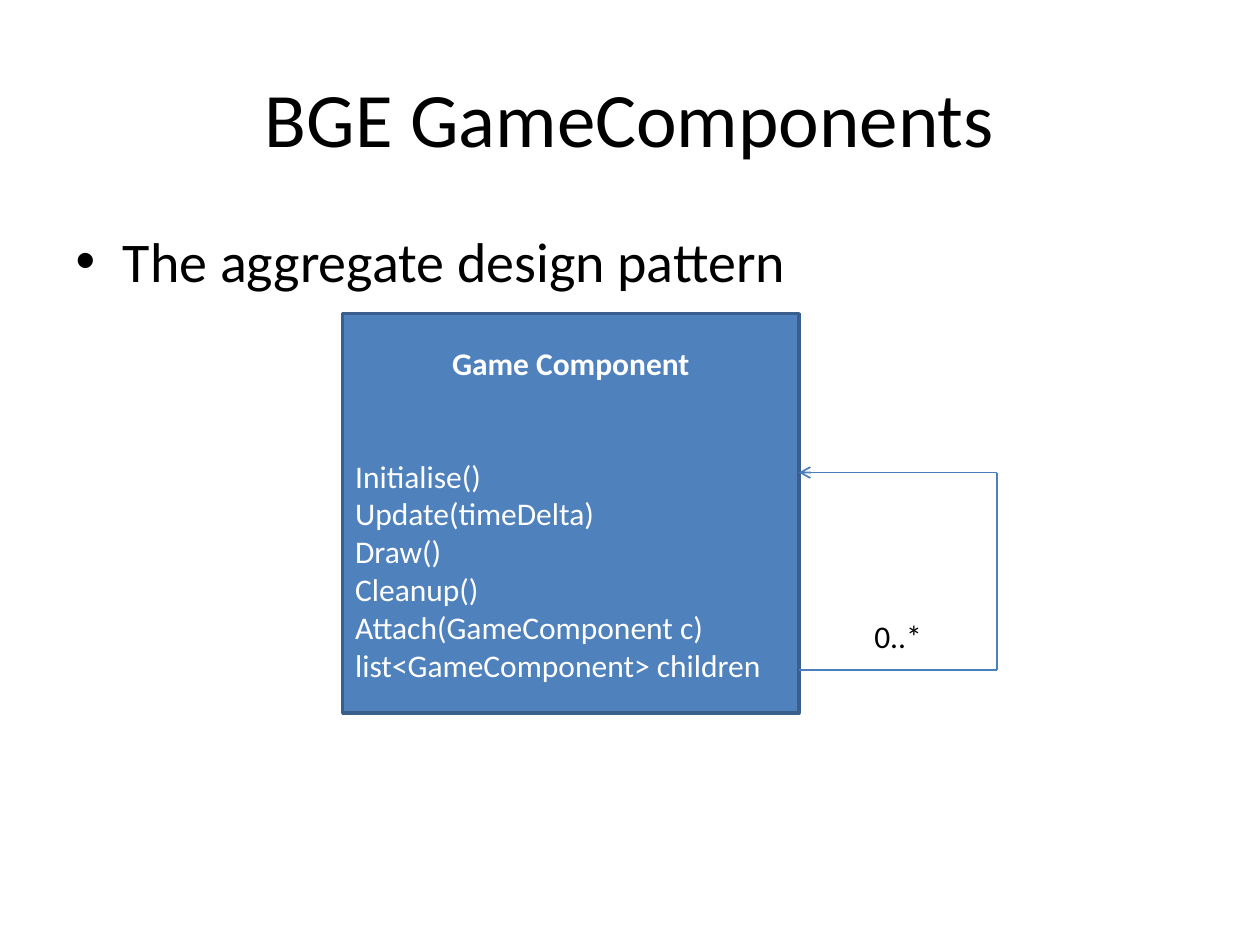
from itertools import pairwise
from lxml.etree import SubElement
from pptx import Presentation
from pptx.dml.color import RGBColor
from pptx.enum.shapes import MSO_CONNECTOR, MSO_SHAPE
from pptx.enum.text import MSO_ANCHOR, MSO_AUTO_SIZE, PP_ALIGN
from pptx.oxml.ns import qn
from pptx.util import Inches, Pt

TITLE = "BGE GameComponents"
BULLET = "The aggregate design pattern"
NAME = "Game Component"
MEMBERS = [
    "Initialise()",
    "Update(timeDelta)",
    "Draw()",
    "Cleanup()",
    "Attach(GameComponent c)",
    "list<GameComponent> children",
]
COUNT = "0..*"

COLORS = {"text": "000000", "fill": "4F81BD", "edge": "3A5F8C",
          "link": "4B7EBC", "label": "FFFFFF"}
FONT = "Calibri"

LEFT, TOP, WIDTH, HEIGHT = 2.72, 2.49, 3.62, 3.17
RIGHT = LEFT + WIDTH
REACH = 1.57  # the loop is a square of this side
LOW = 5.32
LOOP = [(RIGHT, LOW), (RIGHT + REACH, LOW),
        (RIGHT + REACH, LOW - REACH), (RIGHT, LOW - REACH)]


def color(key):
    return RGBColor.from_string(COLORS[key])


def style(par, size, key, bold=False):
    for run in par.runs:
        font = run.font
        font.name, font.size, font.bold = FONT, Pt(size), bold
        font.color.rgb = color(key)


def place(shape, left, top, width, height):
    shape.left, shape.top = Inches(left), Inches(top)
    shape.width, shape.height = Inches(width), Inches(height)


def add_class(slide):
    box = slide.shapes.add_shape(
        MSO_SHAPE.RECTANGLE, *map(Inches, (LEFT, TOP, WIDTH, HEIGHT)))
    box.shadow.inherit = False
    box.fill.solid()
    box.fill.fore_color.rgb = color("fill")
    box.line.color.rgb = color("edge")
    box.line.width = Pt(2)
    frame = box.text_frame
    frame.word_wrap = True
    frame.vertical_anchor = MSO_ANCHOR.MIDDLE
    frame.text = "\n".join([NAME, *MEMBERS])
    for par in frame.paragraphs:
        par.alignment = PP_ALIGN.LEFT
        style(par, 18, "label")
    head = frame.paragraphs[0]
    head.alignment = PP_ALIGN.CENTER
    head.space_after = Pt(43)
    style(head, 18, "label", bold=True)


def add_loop(slide):
    for start, end in pairwise(LOOP):
        link = slide.shapes.add_connector(
            MSO_CONNECTOR.STRAIGHT, *map(Inches, start + end))
        link.line.color.rgb = color("link")
        link.line.width = Pt(1)
        props = link._element.spPr
        SubElement(props, qn("a:effectLst"))
    # the last segment points back at the class
    SubElement(props.find(qn("a:ln")), qn("a:tailEnd"), type="arrow")


def add_count(slide):
    box = slide.shapes.add_textbox(*map(Inches, (6.84, 4.85, 0.58, 0.4)))
    frame = box.text_frame
    frame.word_wrap = False
    frame.auto_size = MSO_AUTO_SIZE.SHAPE_TO_FIT_TEXT
    frame.text = COUNT
    style(frame.paragraphs[0], 18, "text")


def main():
    deck = Presentation()
    deck.slide_width, deck.slide_height = Inches(10), Inches(7.5)
    slide = deck.slides.add_slide(deck.slide_layouts[1])
    title, body = slide.placeholders
    place(title, 0.5, 0.3, 9, 1.25)
    place(body, 0.5, 1.75, 9, 4.95)
    for shape, text, size in ((title, TITLE, 44), (body, BULLET, 32)):
        shape.text_frame.text = text
        style(shape.text_frame.paragraphs[0], size, "text")
    add_class(slide)
    add_loop(slide)
    add_count(slide)
    deck.save("out.pptx")


if __name__ == "__main__":
    main()
